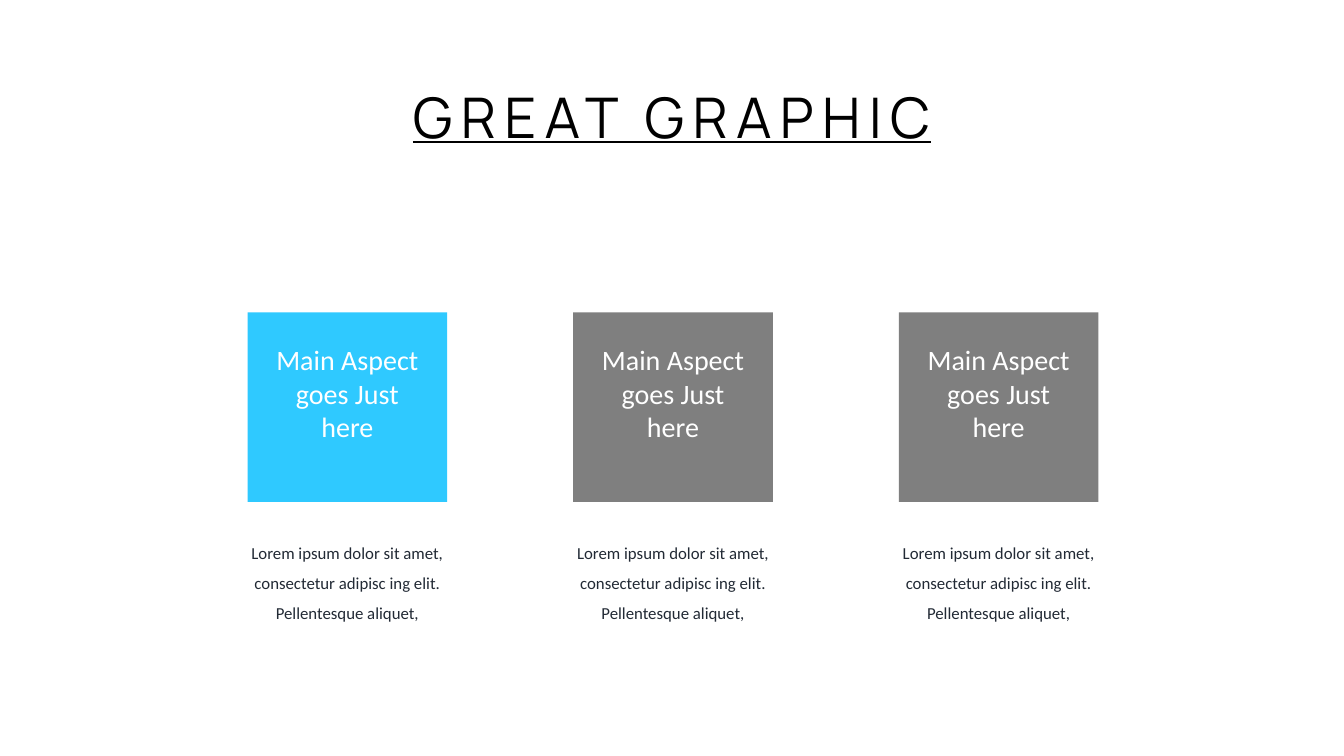
import dataclasses

import pptx
import pptx.dml.color
import pptx.enum.shapes
import pptx.enum.text
import pptx.util

Inches = pptx.util.Inches
Color = pptx.dml.color.RGBColor.from_string


@dataclasses.dataclass(frozen=True)
class Theme:
    """Colours, fonts and type sizes of the slide."""

    accent: str = "2FC9FF"
    neutral: str = "7F7F7F"
    white: str = "FFFFFF"
    body: str = "222A35"
    heading: str = "000000"
    heading_font: str = "Manrope"
    body_font: str = "Calibri"
    heading_size: int = 40
    label_size: int = 20
    body_size: int = 12


THEME = Theme()
LABEL = "Main Aspect goes Just here"
DESCRIPTION = "Lorem ipsum dolor sit amet, consectetur adipisc ing elit. Pellentesque aliquet,"


def write_text(shape, text, font_name, size, color, line_spacing=1.0, wrap=True):
    """Fill a shape with one centred paragraph and return its run."""
    frame = shape.text_frame
    frame.text = text
    frame.word_wrap = wrap
    frame.auto_size = pptx.enum.text.MSO_AUTO_SIZE.SHAPE_TO_FIT_TEXT
    frame.vertical_anchor = pptx.enum.text.MSO_ANCHOR.TOP
    paragraph = frame.paragraphs[0]
    paragraph.alignment = pptx.enum.text.PP_ALIGN.CENTER
    paragraph.line_spacing = line_spacing
    run = paragraph.runs[0]
    run.font.name = font_name
    run.font.size = pptx.util.Pt(size)
    run.font.color.rgb = Color(color)
    return run


def add_heading(slide, left, top, width, height):
    """Place the underlined, letter-spaced title."""
    title = slide.shapes.title
    title.left, title.top = Inches(left), Inches(top)
    title.width, title.height = Inches(width), Inches(height)
    run = write_text(title, "GREAT GRAPHIC", THEME.heading_font,
                     THEME.heading_size, THEME.heading, wrap=False)
    run.font.underline = True
    run._r.get_or_add_rPr().set("spc", "600")


def add_aspect(slide, left, top, width, fill):
    """Place a labelled tile with its description centred below."""
    tile_width, label_width = 1.98, 1.69
    tile_left = left + (width - tile_width) / 2
    label_left = left + (width - label_width) / 2
    group = slide.shapes.add_group_shape()
    tile = group.shapes.add_shape(
        pptx.enum.shapes.MSO_SHAPE.RECTANGLE,
        Inches(tile_left), Inches(top), Inches(tile_width), Inches(1.88))
    tile.shadow.inherit = False
    tile.fill.solid()
    tile.fill.fore_color.rgb = Color(fill)
    tile.line.fill.background()
    label = group.shapes.add_textbox(
        Inches(label_left), Inches(top + 0.25), Inches(label_width), Inches(1.11))
    write_text(label, LABEL, THEME.body_font, THEME.label_size, THEME.white)
    description = slide.shapes.add_textbox(
        Inches(left), Inches(top + 2.13), Inches(width), Inches(0.98))
    write_text(description, DESCRIPTION, THEME.body_font,
               THEME.body_size, THEME.body, line_spacing=1.5)


def main():
    """Build and save the presentation."""
    presentation = pptx.Presentation()
    presentation.slide_width = Inches(13.33)
    presentation.slide_height = Inches(7.5)
    slide = presentation.slides.add_slide(presentation.slide_layouts[5])
    add_heading(slide, 3.78, 0.77, 5.77, 0.77)
    for column, fill in enumerate((THEME.accent, THEME.neutral, THEME.neutral)):
        add_aspect(slide, 2.07 + column * 3.23, 3.1, 2.75, fill)
    presentation.save("out.pptx")


if __name__ == "__main__":
    main()
